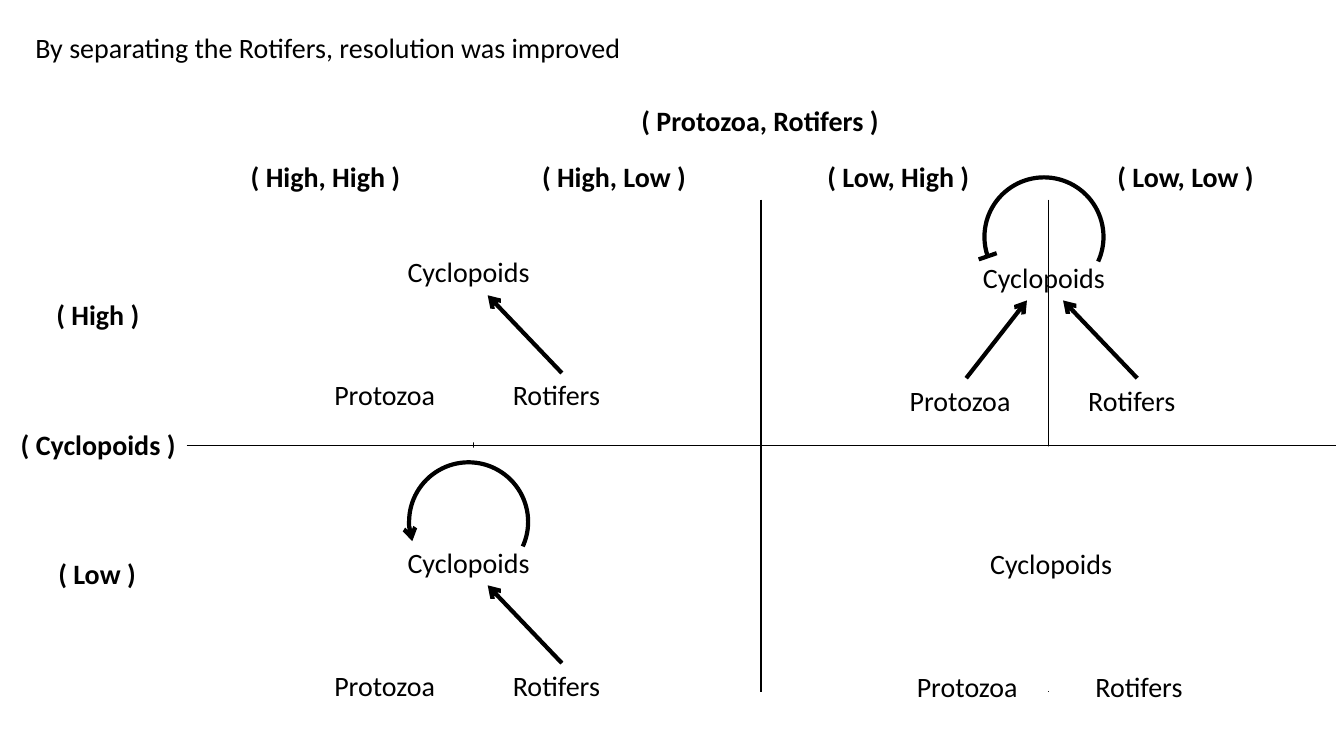
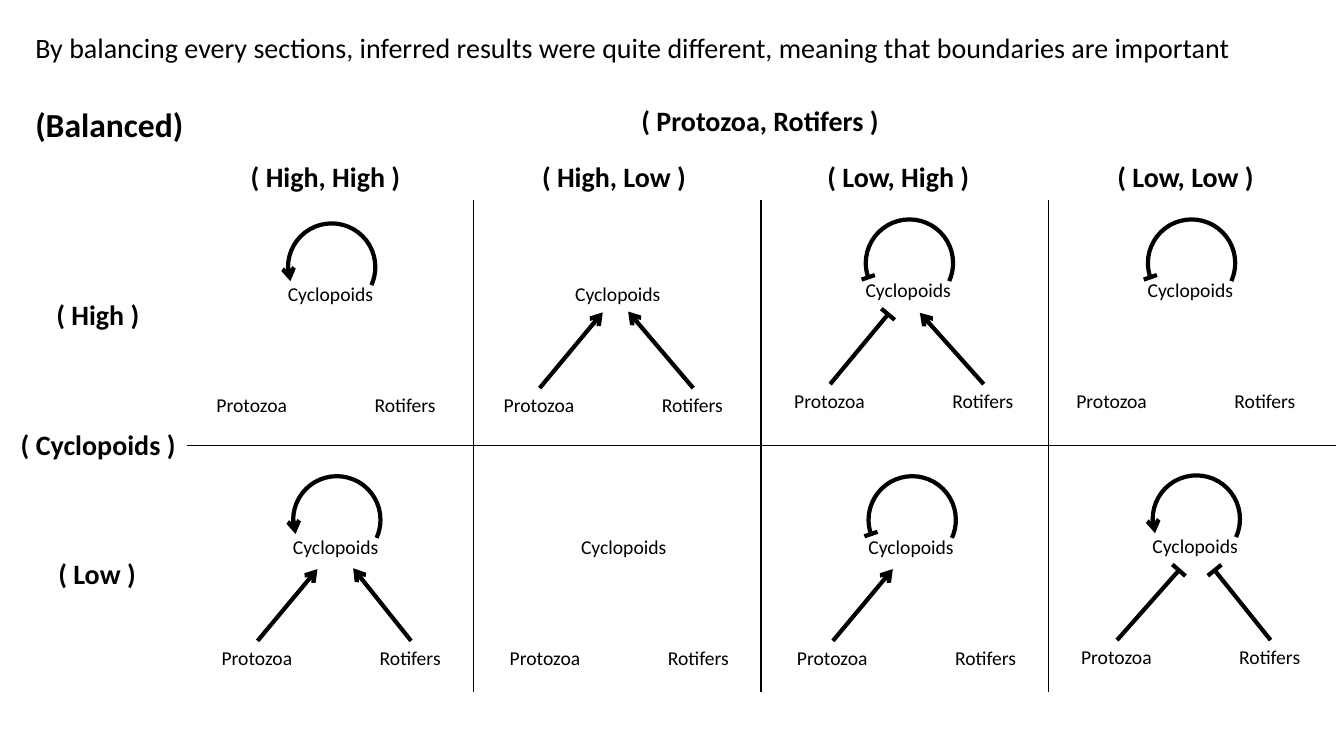
"""Build two slides of food webs sorted by abundance."""
import math

import lxml.etree
import pptx
import pptx.dml.color
import pptx.enum.shapes
import pptx.enum.text
import pptx.oxml.ns
import pptx.util

Cm = pptx.util.Cm
Pt = pptx.util.Pt
qn = pptx.oxml.ns.qn
ALIGN = pptx.enum.text.PP_ALIGN
SHAPE = pptx.enum.shapes.MSO_SHAPE

COLORS = {"ink": "000000", "paper": "FFFFFF"}
FONT = "Calibri"
STROKE = 3
GRID = {"left": 4.7, "top": 5.03, "width": 7.24, "height": 6.2, "cols": 4, "rows": 2}

HEADS = [
    ("( High, High )", 6.07, 3.89, 4.32, ALIGN.LEFT),
    ("( High, Low )", 13.41, 3.89, 4.19, ALIGN.LEFT),
    ("( Low, High )", 20.6, 3.89, 4.14, ALIGN.LEFT),
    ("( Low, Low )", 27.91, 3.89, 3.99, ALIGN.LEFT),
    ("( Protozoa, Rotifers )", 15.88, 2.49, 6.55, ALIGN.CENTER),
    ("( Cyclopoids )", 0.25, 10.64, 4.45, ALIGN.CENTER),
    ("( High )", 1.17, 7.37, 2.62, ALIGN.LEFT),
    ("( Low )", 1.22, 13.89, 2.49, ALIGN.LEFT),
]

BIG = {
    "size": 20, "height": 1.12, "top": 3.61,
    "prey": {"Protozoa": (-1.96, 3.1, 3.35), "Rotifers": (2.35, 3.1, 2.97)},
    "tips": {"Protozoa": (-0.43, 0.58), "Rotifers": (0.48, 0.58)},
    "loop": (0, -1.02, 1.5),
}
SMALL = {
    "size": 14, "height": 0.86, "top": 2.69,
    "prey": {"Protozoa": (-1.97, 2.79, 2.31), "Rotifers": (1.9, 2.79, 2.08)},
    "tips": {"Protozoa": (-0.46, 0.55), "Rotifers": (0.44, 0.53)},
    "loop": (0.03, -0.69, 1.1),
}

MERGED = [
    {"at": (26.31, 6.99), "loop": "bar",
     "links": {"Protozoa": ("arrow", 0, 0), "Rotifers": ("arrow", 0, 0)}},
    {"at": (11.81, 14.17), "mask": (4.67, 11.28), "loop": "arrow",
     "links": {"Rotifers": ("arrow", 0, 0)}},
    {"at": (26.49, 14.2), "mask": (19.3, 11.25)},
    {"at": (11.81, 6.86), "mask": (4.8, 4.98),
     "links": {"Rotifers": ("arrow", 0, 0)}},
]
SPLIT = [
    {"at": (8.33, 7.42), "loop": "arrow"},
    {"at": (15.57, 7.42),
     "links": {"Protozoa": ("arrow", 0.08, -0.1), "Rotifers": ("arrow", -0.18, -0.1)}},
    {"at": (22.89, 7.32), "loop": "bar",
     "links": {"Protozoa": ("bar", -0.05, 0.05), "Rotifers": ("arrow", -0.15, 0.03)}},
    {"at": (30, 7.32), "loop": "bar"},
    {"at": (8.46, 13.79), "loop": "arrow",
     "links": {"Protozoa": ("arrow", 0, 0), "Rotifers": ("arrow", 0, 0)}},
    {"at": (15.72, 13.79)},
    {"at": (22.96, 13.79), "loop": "bar", "links": {"Protozoa": ("arrow", 0, 0)}},
    {"at": (30.12, 13.77), "loop": "arrow",
     "links": {"Protozoa": ("bar", 0.05, 0.05), "Rotifers": ("bar", 0.05, 0.07)}},
]


def color(name):
    return pptx.dml.color.RGBColor.from_string(COLORS[name])


def apply(target, values):
    for name, value in values.items():
        setattr(target, name, value)


def label(shapes, text, left, top, width, height=1.12, size=20, bold=False,
          align=ALIGN.LEFT):
    box = shapes.add_textbox(Cm(left), Cm(top), Cm(width), Cm(height))
    apply(box.text_frame, {
        "word_wrap": False,
        "auto_size": pptx.enum.text.MSO_AUTO_SIZE.SHAPE_TO_FIT_TEXT,
    })
    para = box.text_frame.paragraphs[0]
    para.alignment = align
    run = para.add_run()
    run.text = text
    apply(run.font, {"name": FONT, "size": Pt(size), "bold": bold})
    run.font.color.rgb = color("ink")
    return box


def ink(shape, end=None):
    shape.line.color.rgb = color("ink")
    shape.line.width = Pt(STROKE)
    if end:
        line = shape.element.spPr.find(qn("a:ln"))
        lxml.etree.SubElement(line, qn(f"a:{end}"), type="arrow")


def stroke(shapes, start, stop, end=None, source=None):
    kind = pptx.enum.shapes.MSO_CONNECTOR.STRAIGHT
    line = shapes.add_connector(kind, *(Cm(v) for v in (*start, *stop)))
    if source:
        line.begin_connect(source, 0)
    ink(line, end)
    lxml.etree.SubElement(line.element.spPr, qn("a:effectLst"))


def crossbar(shapes, x, y, angle, half):
    dx, dy = half * math.cos(angle), half * math.sin(angle)
    stroke(shapes, (x - dx, y - dy), (x + dx, y + dy))


def loop(shapes, x, y, radius, kind):
    arc = shapes.add_shape(SHAPE.ARC, Cm(x - radius), Cm(y - radius),
                           Cm(2 * radius), Cm(2 * radius))
    arc.adjustments[0] = 96.63
    arc.adjustments[1] = 14.66
    arc.fill.background()
    arc.shadow.inherit = False
    ink(arc, "headEnd" if kind == "arrow" else None)
    if kind == "bar":
        angle = math.radians(161)
        crossbar(shapes, x + radius * math.cos(angle), y + radius * math.sin(angle),
                 angle, 0.16 * radius)


def link(shapes, source, tip, kind):
    foot = ((source.left + source.width / 2) / Cm(1), source.top / Cm(1))
    stroke(shapes, foot, tip, "tailEnd" if kind == "arrow" else None, source)
    if kind == "bar":
        angle = math.atan2(tip[1] - foot[1], tip[0] - foot[0])
        crossbar(shapes, *tip, angle + math.pi / 2, 0.22)


def mask(shapes, left, top):
    rect = shapes.add_shape(SHAPE.RECTANGLE, Cm(left), Cm(top), Cm(14.27), Cm(6.17))
    rect.fill.solid()
    rect.fill.fore_color.rgb = color("paper")
    rect.line.fill.background()
    rect.shadow.inherit = False


def web(slide, scale, plan):
    shapes = slide.shapes.add_group_shape().shapes
    x, y = plan["at"]
    height, size = scale["height"], scale["size"]
    if "mask" in plan:
        mask(shapes, *plan["mask"])
    label(shapes, "Cyclopoids", x - scale["top"] / 2, y - height / 2, scale["top"],
          height, size, align=ALIGN.CENTER)
    for name, (dx, dy, width) in scale["prey"].items():
        box = label(shapes, name, x + dx - width / 2, y + dy - height / 2, width,
                    height, size)
        if name in plan.get("links", {}):
            kind, right, down = plan["links"][name]
            tx, ty = scale["tips"][name]
            link(shapes, box, (x + tx + right, y + ty + down), kind)
    if "loop" in plan:
        dx, dy, radius = scale["loop"]
        loop(shapes, x + dx, y + dy, radius, plan["loop"])


def border(cell, side, shown):
    line = lxml.etree.SubElement(cell._tc.get_or_add_tcPr(), qn(f"a:ln{side}"),
                                 w=str(Pt(1)))
    if shown:
        fill = lxml.etree.SubElement(line, qn("a:solidFill"))
        lxml.etree.SubElement(fill, qn("a:srgbClr"), val=COLORS["ink"])
    else:
        lxml.etree.SubElement(line, qn("a:noFill"))


def grid(slide):
    rows, cols = GRID["rows"], GRID["cols"]
    table = slide.shapes.add_table(
        rows, cols, Cm(GRID["left"]), Cm(GRID["top"]),
        Cm(cols * GRID["width"]), Cm(rows * GRID["height"])).table
    apply(table, {"first_row": False, "horz_banding": False})
    for row in range(rows):
        for col in range(cols):
            cell = table.cell(row, col)
            inner = {"L": col > 0, "R": col < cols - 1,
                     "T": row > 0, "B": row < rows - 1}
            for side, shown in inner.items():
                border(cell, side, shown)
            cell.fill.background()


def page(deck, title, width, scale, plans):
    slide = deck.slides.add_slide(deck.slide_layouts[6])
    grid(slide)
    for text, left, top, wide, align in HEADS:
        label(slide.shapes, text, left, top, wide, bold=True, align=align)
    label(slide.shapes, title, 0.64, 0.64, width)
    for plan in plans:
        web(slide, scale, plan)
    return slide


def main():
    deck = pptx.Presentation()
    apply(deck, {"slide_width": Cm(33.87), "slide_height": Cm(19.05)})
    page(deck, "By separating the Rotifers, resolution was improved", 15.75, BIG, MERGED)
    last = page(deck, "By balancing every sections, inferred results were quite different, "
                "meaning that boundaries are important", 31.27, SMALL, SPLIT)
    label(last.shapes, "(Balanced)", 0.64, 2.49, 4.29, 1.27, 24, True)
    deck.save("out.pptx")


if __name__ == "__main__":
    main()
